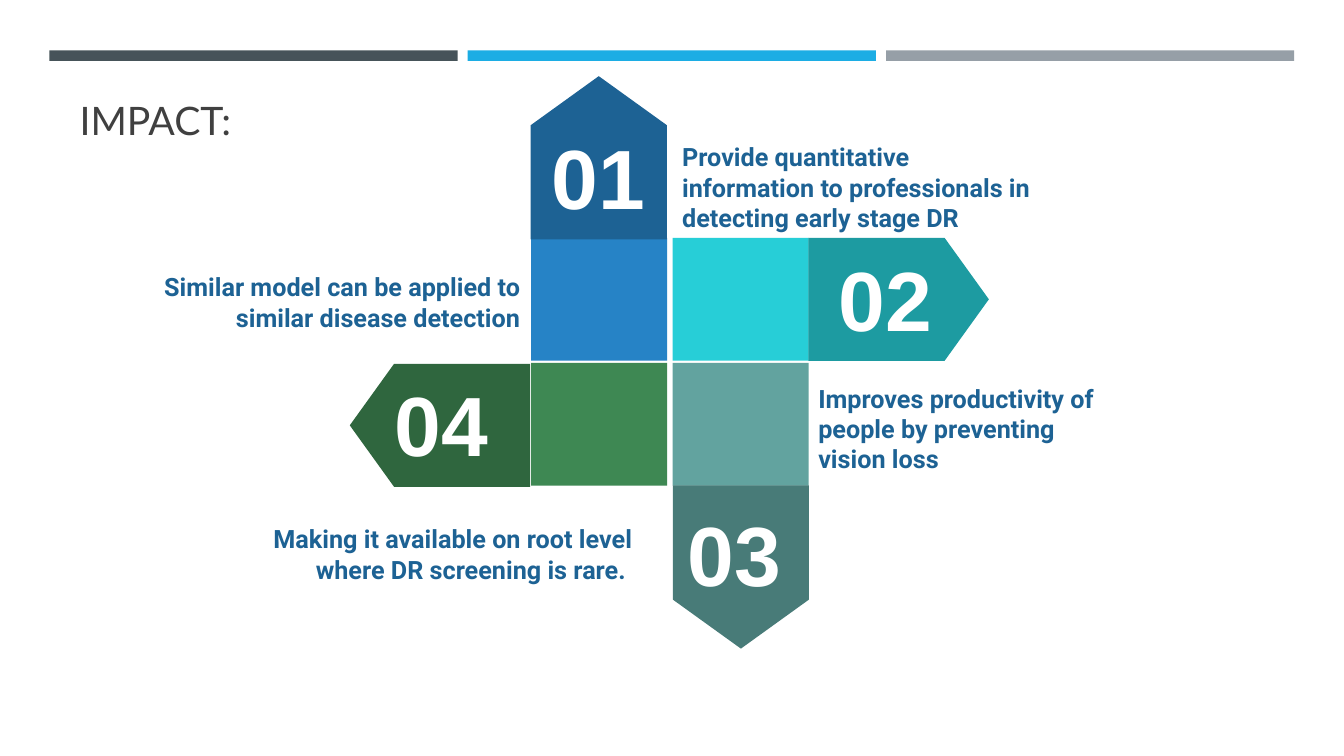
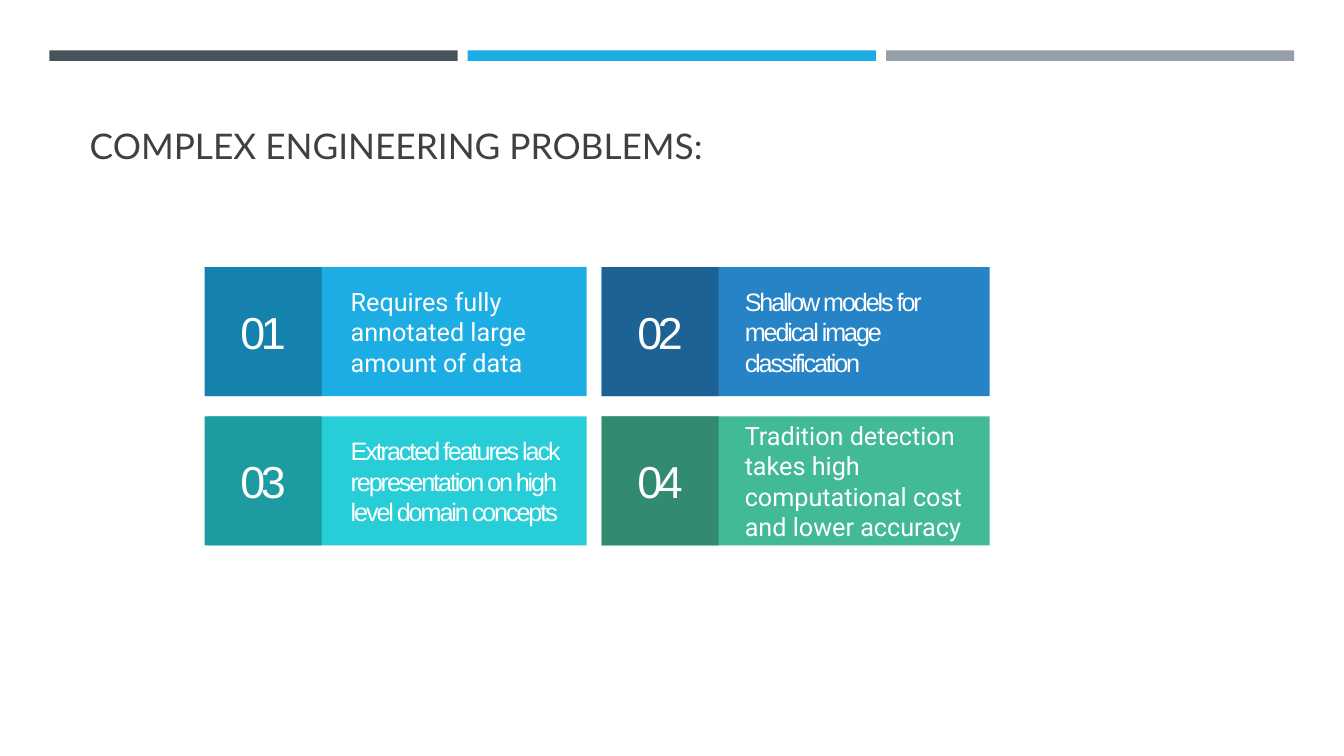
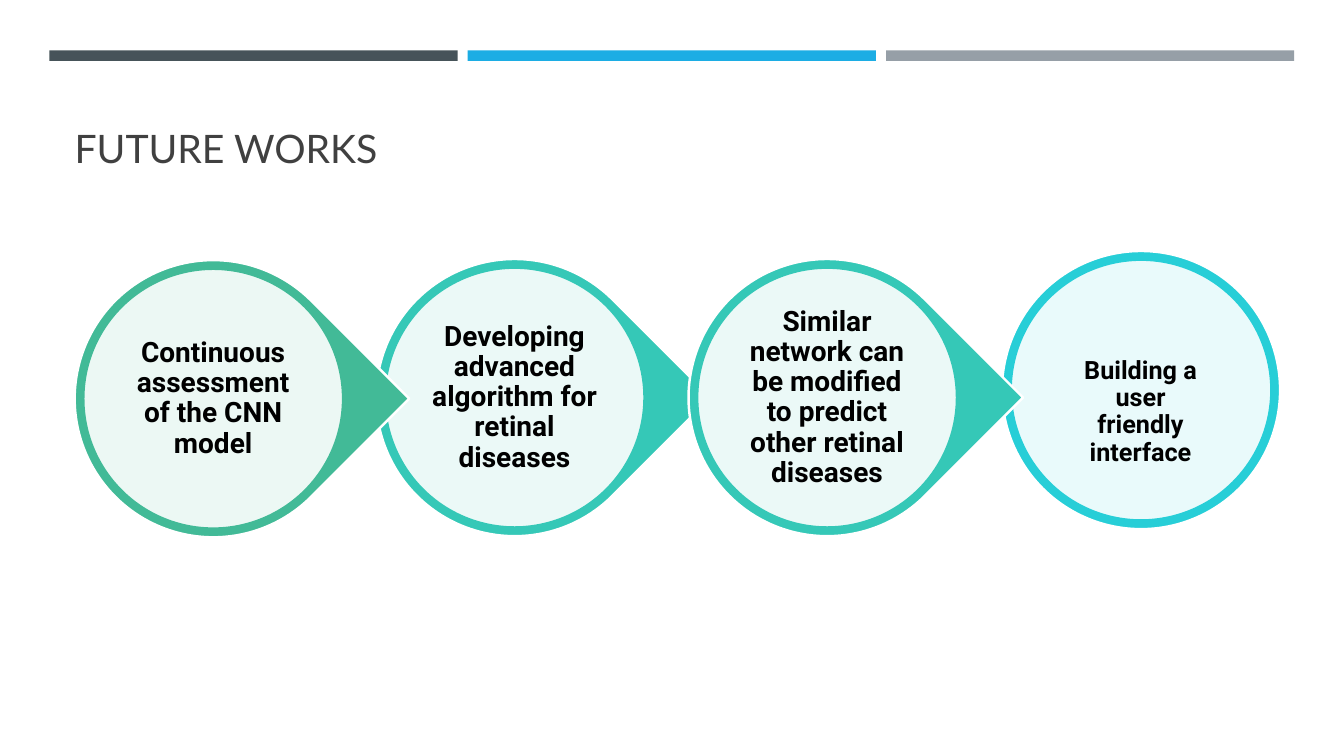
from lxml import etree
from pptx import Presentation
from pptx.dml.color import RGBColor
from pptx.enum.shapes import MSO_SHAPE as Preset
from pptx.enum.text import MSO_ANCHOR as Anchor, PP_ALIGN as Align
from pptx.oxml.ns import qn
from pptx.util import Pt

WHITE = RGBColor(0xFF, 0xFF, 0xFF)
BLACK = RGBColor(0x00, 0x00, 0x00)
TITLE_GREY = RGBColor(0x40, 0x40, 0x40)
SLATE = RGBColor(0x46, 0x53, 0x59)
GREY = RGBColor(0x96, 0x9F, 0xA7)
SKY = RGBColor(0x1C, 0xAD, 0xE4)
DARK_SKY = RGBColor(0x14, 0x82, 0xAC)
BLUE = RGBColor(0x26, 0x83, 0xC6)
DARK_BLUE = RGBColor(0x1D, 0x62, 0x94)
CYAN = RGBColor(0x27, 0xCE, 0xD7)
DARK_CYAN = RGBColor(0x1D, 0x9B, 0xA1)
GREEN = RGBColor(0x3E, 0x88, 0x53)
DARK_GREEN = RGBColor(0x2F, 0x66, 0x3E)
SAGE = RGBColor(0x62, 0xA3, 0x9F)
DARK_SAGE = RGBColor(0x48, 0x7B, 0x78)
MINT = RGBColor(0x42, 0xBA, 0x97)
DARK_MINT = RGBColor(0x32, 0x8B, 0x71)
TURQUOISE = RGBColor(0x35, 0xC8, 0xB7)

# Shared bands
BANDS = [SLATE, SKY, GREY]
BAND_LEFT, BAND_TOP, BAND_WIDTH, BAND_HEIGHT, BAND_PITCH = 35.3, 36, 291.6, 7.5, 298.8

# Titles: text, size, box
IMPACT_TITLE = ("IMPACT:", 28, (49.7, 59, 868.3, 46.8))
PROBLEMS_TITLE = ("COMPLEX ENGINEERING PROBLEMS:", 25.2, (56.9, 81.4, 868.3, 41))
FUTURE_TITLE = ("FUTURE WORKS", 28, (46.1, 84.2, 868.3, 41.8))

# Impact: squares in rows, then arrows as centre, length, height, rotation, colour
SQUARES = [[BLUE, CYAN], [GREEN, SAGE]]
SQUARE_LEFT, SQUARE_TOP, SQUARE_WIDTH, SQUARE_HEIGHT = 379.4, 169.9, 97.2, 87.8
SQUARE_PITCH_X, SQUARE_PITCH_Y = 101, 89.3
ARROWS = [
    (427.7, 112.7, 116.6, 97.2, 270, DARK_BLUE),
    (641.9, 213.8, 128.9, 87.8, 0, DARK_CYAN),
    (529.2, 405, 116.6, 97.2, 90, DARK_SAGE),
    (314.3, 303.8, 128.9, 87.8, 180, DARK_GREEN),
]
ARROW_NUMBERS = [("01", 378.7, 86.4), ("02", 583.9, 173.5),
                 ("03", 475.9, 355.7), ("04", 266.4, 262.8)]
IMPACTS = [
    ("Provide quantitative information to professionals in detecting early stage DR",
     (480.2, 100.8, 275, 65.5), Align.LEFT, Anchor.MIDDLE),
    ("Making it available on root level where DR screening is rare. ",
     (183.6, 362.9, 275, 65.5), Align.RIGHT, Anchor.MIDDLE),
    ("Similar model can be applied to similar disease detection",
     (108, 173.5, 270.7, 84.2), Align.RIGHT, Anchor.MIDDLE),
    ("Improves productivity of people by preventing vision loss",
     (577.4, 270, 231.1, 72.7), Align.LEFT, Anchor.TOP),
]

# Problems: text, font, letter spacing, card colour, badge colour
PROBLEMS = [
    ("Requires fully annotated large amount of data", "Roboto", 0, SKY, DARK_SKY),
    ("Shallow models for medical image classification", "Arial", -1.5, BLUE, DARK_BLUE),
    ("Extracted features lack representation on high level domain concepts",
     "Arial", -1.5, CYAN, DARK_CYAN),
    ("Tradition detection takes high computational cost and lower accuracy",
     "Roboto", 0, MINT, DARK_MINT),
]
CARD_COLUMNS = [(148.3, 270.7, 146.2), (429.8, 277.2, 429.8)]  # card left, width, badge left
CARD_TOP, CARD_HEIGHT, CARD_PITCH = 190.8, 92.2, 106.6
BADGE_WIDTH, CARD_INDENT = 83.5, 102.2

# Future works, back to front: text, left, top, size, preset, rotation, colour
STEPS = [
    ("", 715.7, 179.3, 198.7, Preset.OVAL, 0, CYAN),
    ("Developing advanced algorithm for retinal diseases",
     268.6, 185, 198, Preset.TEAR, 45, TURQUOISE),
    ("Continuous assessment of the CNN model",
     53.3, 185.8, 198, Preset.TEAR, 45, MINT),
    ("Similar network can be modified to predict other retinal diseases",
     491.8, 185, 198, Preset.TEAR, 45, TURQUOISE),
]
RING = 6.2
LAST_STEP = ("Building a user friendly interface", (759.6, 252, 110.2, 66.2))


def write(shape, text, size, font="Roboto", color=WHITE, bold=False, align=Align.LEFT,
          anchor=Anchor.MIDDLE, spacing=0, margins=None, line_spacing=None):
    frame = shape.text_frame
    formats = {"word_wrap": True, "vertical_anchor": anchor, **(margins or {})}
    for name, value in formats.items():
        setattr(frame, name, value)
    paragraph = frame.paragraphs[0]
    paragraph.alignment = align
    if line_spacing:
        paragraph.line_spacing = line_spacing
    run = paragraph.add_run()
    run.text = text
    for name, value in {"size": Pt(size), "name": font, "bold": bold}.items():
        setattr(run.font, name, value)
    run.font.color.rgb = color
    if spacing:
        run.font._element.set("spc", str(int(spacing * 100)))


def add_filled(slide, preset, box, color, line=None):
    shape = slide.shapes.add_shape(preset, *map(Pt, box))
    shape.shadow.inherit = False
    shape.fill.solid()
    shape.fill.fore_color.rgb = color
    if line is None:
        shape.line.fill.background()
    else:
        shape.line.color.rgb = line
        shape.line.width = Pt(1.75)
    return shape


def add_text(slide, box, text, size, **formats):
    write(slide.shapes.add_textbox(*map(Pt, box)), text, size, **formats)


def set_opacity(shape, percent):
    color = shape.fill._xPr.find(qn("a:solidFill"))[0]
    etree.SubElement(color, qn("a:alpha"), val=str(percent * 1000))


def add_slide(presentation, title):
    text, size, box = title
    slide = presentation.slides.add_slide(presentation.slide_layouts[5])
    shape = slide.shapes.title
    for name, value in zip(("left", "top", "width", "height"), box):
        setattr(shape, name, Pt(value))
    write(shape, text, size, font="Lato", color=TITLE_GREY, anchor=Anchor.BOTTOM)
    return slide


def move_bands_to_layout(slide):
    """Draw the three bands and keep them on the layout, so that every slide shows them."""
    for index, color in enumerate(BANDS):
        box = (BAND_LEFT + index * BAND_PITCH, BAND_TOP, BAND_WIDTH, BAND_HEIGHT)
        band = add_filled(slide, Preset.RECTANGLE, box, color)
        slide.slide_layout.shapes._spTree.append(band._element)


def draw_impact(slide):
    for row, colors in enumerate(SQUARES):
        for column, color in enumerate(colors):
            box = (SQUARE_LEFT + column * SQUARE_PITCH_X, SQUARE_TOP + row * SQUARE_PITCH_Y,
                   SQUARE_WIDTH, SQUARE_HEIGHT)
            add_filled(slide, Preset.RECTANGLE, box, color)
    for center_x, center_y, length, height, rotation, color in ARROWS:
        box = (center_x - length / 2, center_y - height / 2, length, height)
        arrow = add_filled(slide, Preset.PENTAGON, box, color)
        arrow.adjustments[0] = 0.36
        arrow.rotation = rotation
    for number, left, top in ARROW_NUMBERS:
        add_text(slide, (left, top, 97.2, 79.9), number, 60, font="Arial", bold=True,
                 align=Align.CENTER, anchor=Anchor.TOP)
    for text, box, align, anchor in IMPACTS:
        add_text(slide, box, text, 18, color=DARK_BLUE, bold=True, align=align, anchor=anchor)


def draw_problems(slide):
    for index, (text, font, spacing, color, badge_color) in enumerate(PROBLEMS):
        row, column = divmod(index, 2)
        left, width, badge_left = CARD_COLUMNS[column]
        top = CARD_TOP + row * CARD_PITCH
        card = add_filled(slide, Preset.RECTANGLE, (left, top, width, CARD_HEIGHT), color)
        write(card, text, 18, font=font, spacing=spacing,
              margins={"margin_left": Pt(CARD_INDENT)})
        badge = add_filled(slide, Preset.RECTANGLE,
                           (badge_left, top, BADGE_WIDTH, CARD_HEIGHT), badge_color)
        write(badge, f"{index + 1:02}", 32, font="Arial", align=Align.CENTER, spacing=-3)


def draw_future(slide):
    sides = ("left", "top", "right", "bottom")
    margins = {f"margin_{side}": Pt(3) for side in sides}
    for text, left, top, size, preset, rotation, color in STEPS:
        drop = add_filled(slide, preset, (left, top, size, size), color, line=WHITE)
        drop.rotation = rotation
        inner = size - 2 * RING
        disc = add_filled(slide, Preset.OVAL, (left + RING, top + RING, inner, inner),
                          WHITE, line=color)
        set_opacity(disc, 90)
        if text:
            write(disc, text, 20, color=BLACK, bold=True, align=Align.CENTER,
                  margins=margins, line_spacing=0.9)
    text, box = LAST_STEP
    add_text(slide, box, text, 18, color=BLACK, bold=True, align=Align.CENTER,
             anchor=Anchor.TOP, line_spacing=0.9)


def main():
    presentation = Presentation()
    presentation.slide_width, presentation.slide_height = Pt(960), Pt(540)
    pages = [(IMPACT_TITLE, draw_impact), (PROBLEMS_TITLE, draw_problems),
             (FUTURE_TITLE, draw_future)]
    for title, draw in pages:
        draw(add_slide(presentation, title))
    move_bands_to_layout(presentation.slides[0])
    presentation.save("out.pptx")


if __name__ == "__main__":
    main()
